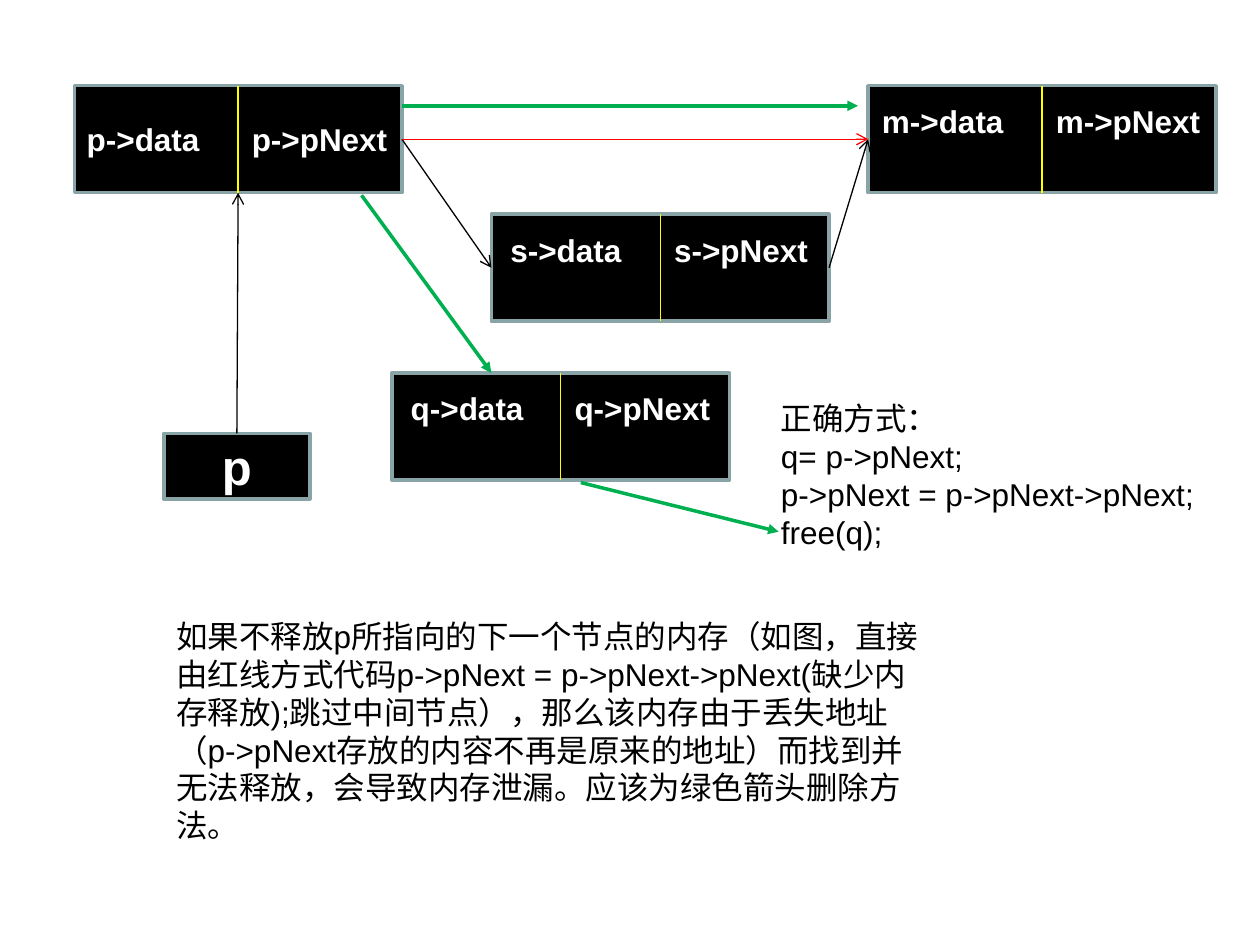
from lxml.etree import SubElement
from pptx import Presentation
from pptx.dml.color import RGBColor
from pptx.enum.shapes import MSO_CONNECTOR, MSO_SHAPE
from pptx.enum.text import MSO_ANCHOR, PP_ALIGN
from pptx.oxml.ns import qn
from pptx.util import Inches, Pt

BLACK = RGBColor(0x00, 0x00, 0x00)
WHITE = RGBColor(0xFF, 0xFF, 0xFF)
BORDER = RGBColor(0x89, 0xA4, 0xA7)
YELLOW = RGBColor(0xFF, 0xFF, 0x00)
RED = RGBColor(0xFF, 0x00, 0x00)
GREEN = RGBColor(0x00, 0xB0, 0x50)

FONT = "Arial"
SLIDE_WIDTH, SLIDE_HEIGHT = 10, 7.5
TOP, LEFT, BOTTOM, RIGHT = range(4)

NODE_HEIGHT = 0.85
FIELD_GAP = 0.11  # from the divider to the second field
RAISED = 0.34     # bottom inset that lifts the fields of a node

# name: box, left inset, bottom inset
NODES = {
    "p": ((0.59, 0.68, 2.6, NODE_HEIGHT), 0.1, 0.05),
    "m": ((6.89, 0.68, 2.76, NODE_HEIGHT), 0.11, RAISED),
    "s": ((3.9, 1.7, 2.68, NODE_HEIGHT), 0.15, RAISED),
    "q": ((3.11, 2.96, 2.68, NODE_HEIGHT), 0.15, RAISED),
}
POINTER_BOX = (1.3, 3.44, 1.16, 0.52)
CODE_BOX = (6.1, 3.12, 3.9, 1.3)
NOTE_BOX = (1.3, 4.85, 6.14, 1.9)

CODE_LINES = [
    "正确方式：",
    "q= p->pNext;",
    "p->pNext = p->pNext->pNext;",
    "free(q);",
]
NOTE_LINES = [
    "如果不释放p所指向的下一个节点的内存（如图，直接由红线方式代码"
    "p->pNext = p->pNext->pNext(缺少内存释放);跳过中间节点），"
    "那么该内存由于丢失地址（p->pNext存放的内容不再是原来的地址）"
    "而找到并无法释放，会导致内存泄漏。应该为绿色箭头删除方法。",
]


def add_run(paragraph, text, size, color, bold=False):
    run = paragraph.add_run()
    run.text = text
    run.font.name = FONT
    run.font.size = Pt(size)
    run.font.bold = bold
    run.font.color.rgb = color


def add_box(slide, box):
    shape = slide.shapes.add_shape(MSO_SHAPE.RECTANGLE, *map(Inches, box))
    shape.shadow.inherit = False
    shape.fill.solid()
    shape.fill.fore_color.rgb = BLACK
    shape.line.color.rgb = BORDER
    shape.line.width = Pt(2)
    shape.text_frame.vertical_anchor = MSO_ANCHOR.MIDDLE
    return shape


def add_line(slide, start, end, color, width=0.75, head=None):
    """Each end is a point (x, y) or a pair (shape, side)."""
    line = slide.shapes.add_connector(MSO_CONNECTOR.STRAIGHT, 0, 0, 0, 0)
    if isinstance(start[0], (int, float)):
        line.begin_x, line.begin_y = map(Inches, start)
    else:
        line.begin_connect(*start)
    if isinstance(end[0], (int, float)):
        line.end_x, line.end_y = map(Inches, end)
    else:
        line.end_connect(*end)
    line.line.color.rgb = color
    line.line.width = Pt(width)
    if head:
        SubElement(line.line._get_or_add_ln(), qn("a:tailEnd"), type=head)
    SubElement(line._element.spPr, qn("a:effectLst"))


def add_node(slide, name, box, left_inset, bottom_inset):
    """A list node: data and pointer fields on either side of a divider."""
    shape = add_box(slide, box)
    frame = shape.text_frame
    frame.word_wrap = False
    frame.margin_left = Inches(left_inset)
    frame.margin_right = 0
    frame.margin_bottom = Inches(bottom_inset)
    paragraph = frame.paragraphs[0]
    paragraph.alignment = PP_ALIGN.LEFT
    tab_list = SubElement(paragraph._p.get_or_add_pPr(), qn("a:tabLst"))
    second_field = Inches(box[2] / 2 + FIELD_GAP - left_inset)
    SubElement(tab_list, qn("a:tab"), pos=str(int(second_field)), algn="l")
    add_run(paragraph, f"{name}->data\t{name}->pNext", 18, WHITE, bold=True)
    add_line(slide, (shape, TOP), (shape, BOTTOM), YELLOW)
    return shape


def add_pointer(slide, box):
    shape = add_box(slide, box)
    paragraph = shape.text_frame.paragraphs[0]
    paragraph.alignment = PP_ALIGN.CENTER
    add_run(paragraph, "p", 28, WHITE, bold=True)
    return shape


def add_text(slide, box, lines):
    frame = slide.shapes.add_textbox(*map(Inches, box)).text_frame
    frame.word_wrap = True
    for index, line in enumerate(lines):
        paragraph = frame.paragraphs[0] if index == 0 else frame.add_paragraph()
        add_run(paragraph, line, 18, BLACK)


def add_links(slide, nodes, pointer):
    # Existing links between the nodes
    add_line(slide, (nodes["s"], RIGHT), (nodes["m"], LEFT), BLACK, head="arrow")
    add_line(slide, (nodes["p"], RIGHT), (nodes["s"], LEFT), BLACK, head="arrow")
    add_line(slide, (pointer, TOP), (nodes["p"], BOTTOM), BLACK, head="arrow")
    # Leaking shortcut
    add_line(slide, (nodes["p"], RIGHT), (nodes["m"], LEFT), RED, head="arrow")
    # Correct deletion
    for start, end in [
        ((2.87, 1.55), (3.9, 2.96)),
        ((3.19, 0.84), (6.81, 0.84)),
        ((4.61, 3.83), (6.18, 4.22)),
    ]:
        add_line(slide, start, end, GREEN, width=2, head="triangle")


def main():
    presentation = Presentation()
    presentation.slide_width = Inches(SLIDE_WIDTH)
    presentation.slide_height = Inches(SLIDE_HEIGHT)
    slide = presentation.slides.add_slide(presentation.slide_layouts[6])

    nodes = {name: add_node(slide, name, *place) for name, place in NODES.items()}
    pointer = add_pointer(slide, POINTER_BOX)
    add_links(slide, nodes, pointer)
    add_text(slide, CODE_BOX, CODE_LINES)
    add_text(slide, NOTE_BOX, NOTE_LINES)

    presentation.save("out.pptx")


if __name__ == "__main__":
    main()
